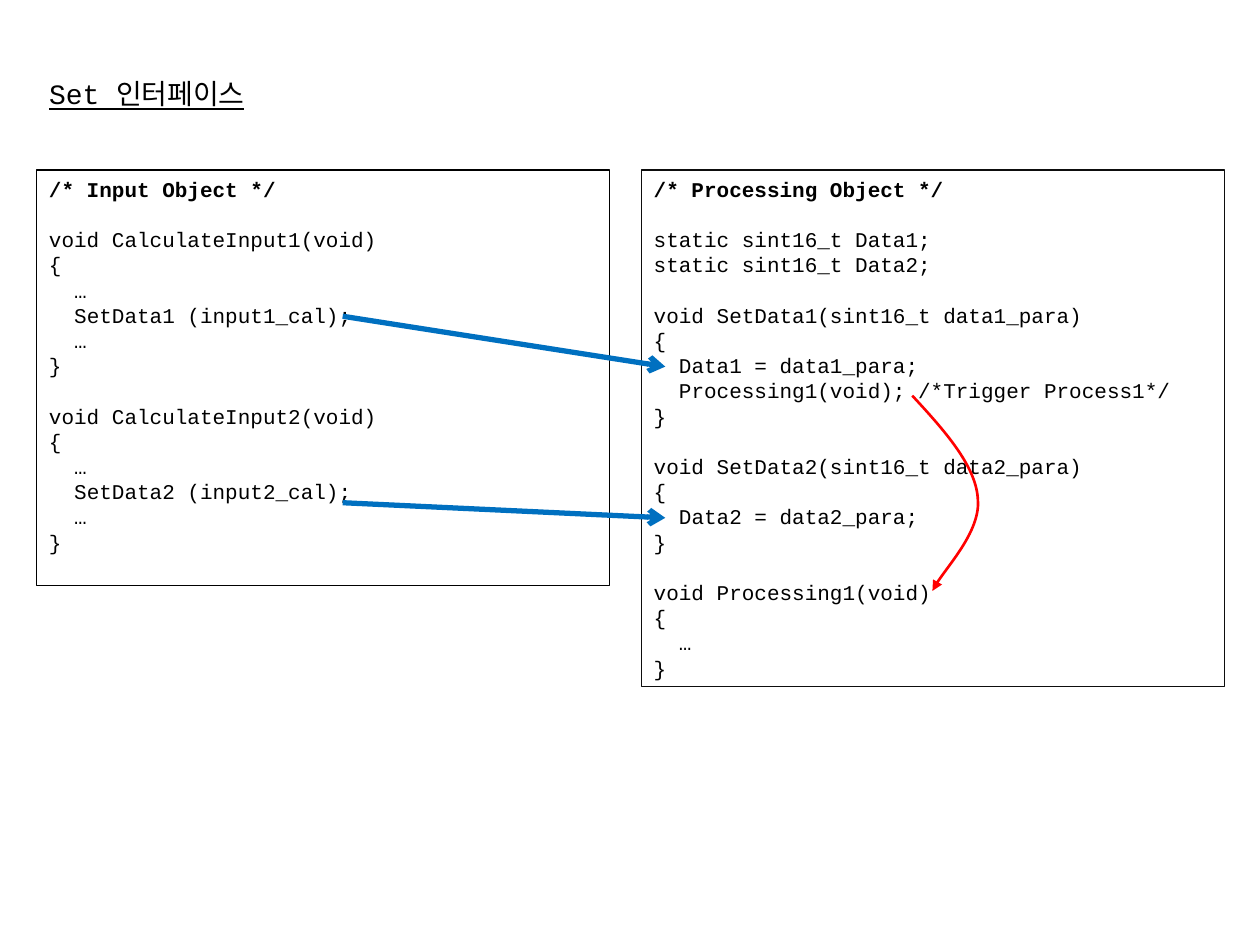
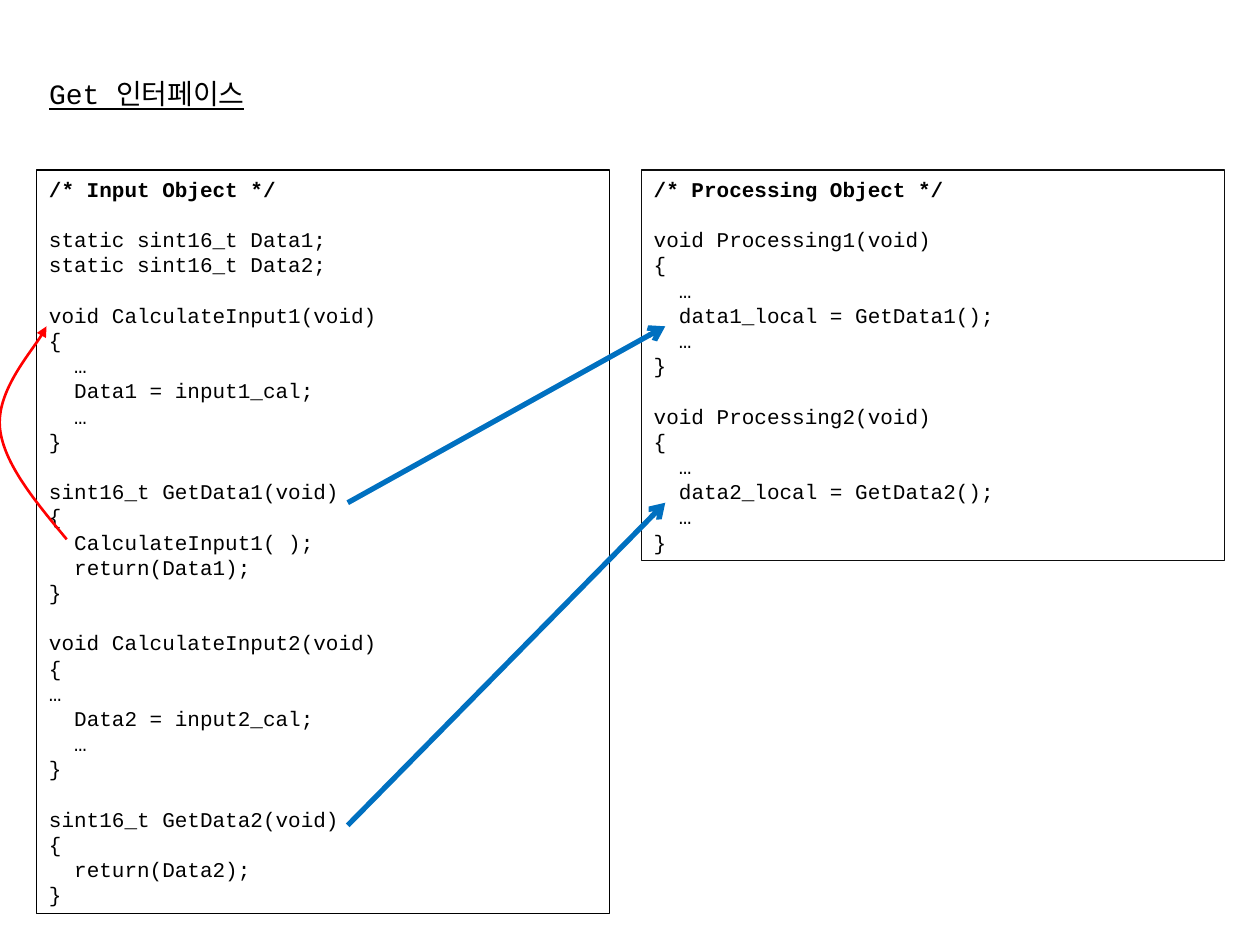
import lxml.etree
import pptx
import pptx.dml.color
import pptx.enum.shapes
import pptx.enum.text
import pptx.oxml.ns
import pptx.util

# The page is a grid of monospaced cells: one 12 pt character by one code line
COLUMN = pptx.util.Inches(0.1)
ROW = pptx.util.Inches(0.2)
PAGE_COLUMNS, PAGE_ROWS = 100, 37.5
PAD_COLUMNS, PAD_ROWS = 1, 0.25

FONT = "Courier New"
BLACK, DARK, CALL_BLUE, TRIGGER_RED = "000000", "0D0D0D", "0070C0", "FF0000"

# Left, top and width of the shared regions, in columns and rows
TITLE_BOX = (2.9, 2.8, 32.8, 1.85)
PANELS = {
    "input": dict(left=2.9, top=6.75, width=45.5, border=BLACK),
    "processing": dict(left=50.9, top=6.75, width=46.3, border=DARK),
}

SET_INPUT = """/* Input Object */

void CalculateInput1(void)
{
  …
  SetData1 (input1_cal);
  …
}

void CalculateInput2(void)
{
  …
  SetData2 (input2_cal);
  …
}"""

SET_PROCESSING = """/* Processing Object */

static sint16_t Data1;
static sint16_t Data2;

void SetData1(sint16_t data1_para)
{
  Data1 = data1_para;
  Processing1(void); /*Trigger Process1*/
}

void SetData2(sint16_t data2_para)
{
  Data2 = data2_para;
}

void Processing1(void)
{
  …
}"""

GET_INPUT = """/* Input Object */

static sint16_t Data1;
static sint16_t Data2;

void CalculateInput1(void)
{
  …
  Data1 = input1_cal;
  …
}

sint16_t GetData1(void)
{
  CalculateInput1( );
  return(Data1);
}

void CalculateInput2(void)
{
…
  Data2 = input2_cal;
  …
}

sint16_t GetData2(void)
{
  return(Data2);
}"""

GET_PROCESSING = """/* Processing Object */

void Processing1(void)
{
  …
  data1_local = GetData1();
  …
}

void Processing2(void)
{
  …
  data2_local = GetData2();
  …
}"""

# Calls run from a cell of the input code to a cell of the processing code;
# a trigger is a chain of Bezier points, in cells of the code of its panel
INTERFACES = [
    dict(
        name="Set 인터페이스",
        code={"processing": SET_PROCESSING, "input": SET_INPUT},
        spare_rows={"input": 1},
        calls=[((23.3, 5.55), (0.9, 7.55)), ((23.3, 12.95), (0.9, 13.55))],
        trigger=("processing", [(20.5, 8.7), (23, 10.05), (25.5, 11.45), (25.7, 12.75),
                                (26, 14), (22.6, 15.85), (22.1, 16.45)]),
    ),
    dict(
        name="Get 인터페이스",
        code={"processing": GET_PROCESSING, "input": GET_INPUT},
        spare_rows={},
        calls=[((23.7, 12.95), (0.9, 5.95)), ((23.7, 25.75), (0.9, 12.95))],
        trigger=("input", [(1.4, 14.4), (-1.1, 12.9), (-3.6, 11.4), (-3.9, 10),
                           (-4.2, 8.55), (-0.7, 6.55), (-0.2, 5.95)]),
    ),
]


def rgb(color):
    return pptx.dml.color.RGBColor.from_string(color)


def apply(target, values):
    for attribute, value in values.items():
        setattr(target, attribute, value)


def grid(columns, rows):
    return int(columns * COLUMN), int(rows * ROW)


def code_point(panel, cell):
    """Page position of a cell of the code inside a panel."""
    box = PANELS[panel]
    return grid(box["left"] + PAD_COLUMNS + cell[0], box["top"] + PAD_ROWS + cell[1])


def format_frame(frame):
    side, edge = grid(PAD_COLUMNS, PAD_ROWS)
    apply(frame, dict(margin_left=side, margin_right=side, margin_top=edge,
                      margin_bottom=edge, word_wrap=True,
                      auto_size=pptx.enum.text.MSO_AUTO_SIZE.NONE,
                      vertical_anchor=pptx.enum.text.MSO_ANCHOR.TOP))


def format_font(font, size, **values):
    apply(font, dict(name=FONT, size=pptx.util.Pt(size), **values))
    font.color.rgb = rgb(BLACK)


def format_line(line, color, width, head=None):
    line.color.rgb = rgb(color)
    line.width = pptx.util.Pt(width)
    if head:
        tail = lxml.etree.SubElement(line._get_or_add_ln(), pptx.oxml.ns.qn("a:tailEnd"))
        tail.set("type", head)


def add_title(slide, wording):
    title = slide.shapes.title
    left, top, width, height = TITLE_BOX
    apply(title, dict(zip(("left", "top", "width", "height"),
                          grid(left, top) + grid(width, height))))
    format_frame(title.text_frame)
    title.text_frame.text = wording
    heading = title.text_frame.paragraphs[0]
    heading.alignment = pptx.enum.text.PP_ALIGN.LEFT
    format_font(heading.runs[0].font, 16, underline=True)


def add_code_panel(slide, panel, code, spare_rows):
    box = PANELS[panel]
    lines = code.splitlines()
    height = len(lines) + spare_rows + 2 * PAD_ROWS
    listing = slide.shapes.add_shape(
        pptx.enum.shapes.MSO_SHAPE.RECTANGLE,
        *grid(box["left"], box["top"]), *grid(box["width"], height))
    listing.shadow.inherit = False
    listing.fill.background()
    format_line(listing.line, box["border"], 0.75)
    frame = listing.text_frame
    format_frame(frame)

    # An empty code line becomes space before, leading spaces become an indent
    gap = 0
    for number, line in enumerate(lines):
        if not line:
            gap = ROW
            continue
        statement = line.lstrip()
        paragraph = frame.add_paragraph() if number else frame.paragraphs[0]
        apply(paragraph, dict(alignment=pptx.enum.text.PP_ALIGN.LEFT,
                              line_spacing=ROW, space_before=gap))
        indent = (len(line) - len(statement)) * COLUMN
        paragraph._p.get_or_add_pPr().set("marL", str(indent))
        run = paragraph.add_run()
        run.text = statement
        format_font(run.font, 12, bold=number == 0)
        gap = 0


def add_call(slide, caller, callee):
    arrow = slide.shapes.add_connector(
        pptx.enum.shapes.MSO_CONNECTOR.STRAIGHT,
        *code_point("input", caller), *code_point("processing", callee))
    format_line(arrow.line, CALL_BLUE, 3, "arrow")
    lxml.etree.SubElement(arrow._element.spPr, pptx.oxml.ns.qn("a:effectLst"))


def add_trigger(slide, panel, cells):
    start, *rest = [code_point(panel, cell) for cell in cells]
    builder = slide.shapes.build_freeform(*start)
    builder.add_line_segments(rest, close=False)
    curve = builder.convert_to_shape()
    curve.shadow.inherit = False
    curve.fill.background()
    format_line(curve.line, TRIGGER_RED, 1.5, "triangle")

    # Turn every three straight segments into one cubic curve
    segments = list(curve._element.iter(pptx.oxml.ns.qn("a:lnTo")))
    outline = segments[0].getparent()
    for first in range(0, len(segments), 3):
        bezier = lxml.etree.SubElement(outline, pptx.oxml.ns.qn("a:cubicBezTo"))
        for segment in segments[first:first + 3]:
            bezier.append(segment[0])
            outline.remove(segment)


def add_interface_slide(deck, interface):
    slide = deck.slides.add_slide(deck.slide_layouts.get_by_name("Title Only"))
    add_title(slide, interface["name"])
    for panel, code in interface["code"].items():
        add_code_panel(slide, panel, code, interface["spare_rows"].get(panel, 0))
    for caller, callee in interface["calls"]:
        add_call(slide, caller, callee)
    add_trigger(slide, *interface["trigger"])


def main():
    deck = pptx.Presentation()
    deck.slide_width, deck.slide_height = grid(PAGE_COLUMNS, PAGE_ROWS)
    for interface in INTERFACES:
        add_interface_slide(deck, interface)
    deck.save("out.pptx")


if __name__ == "__main__":
    main()
